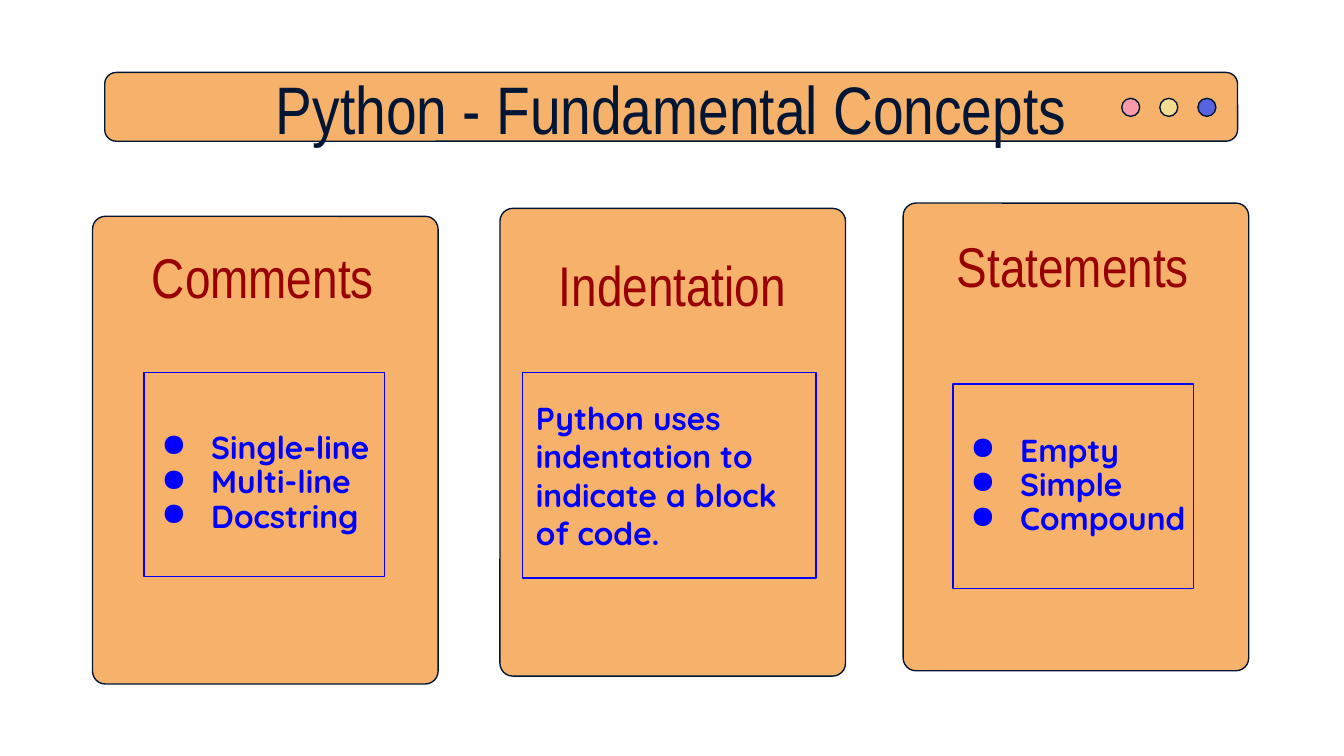
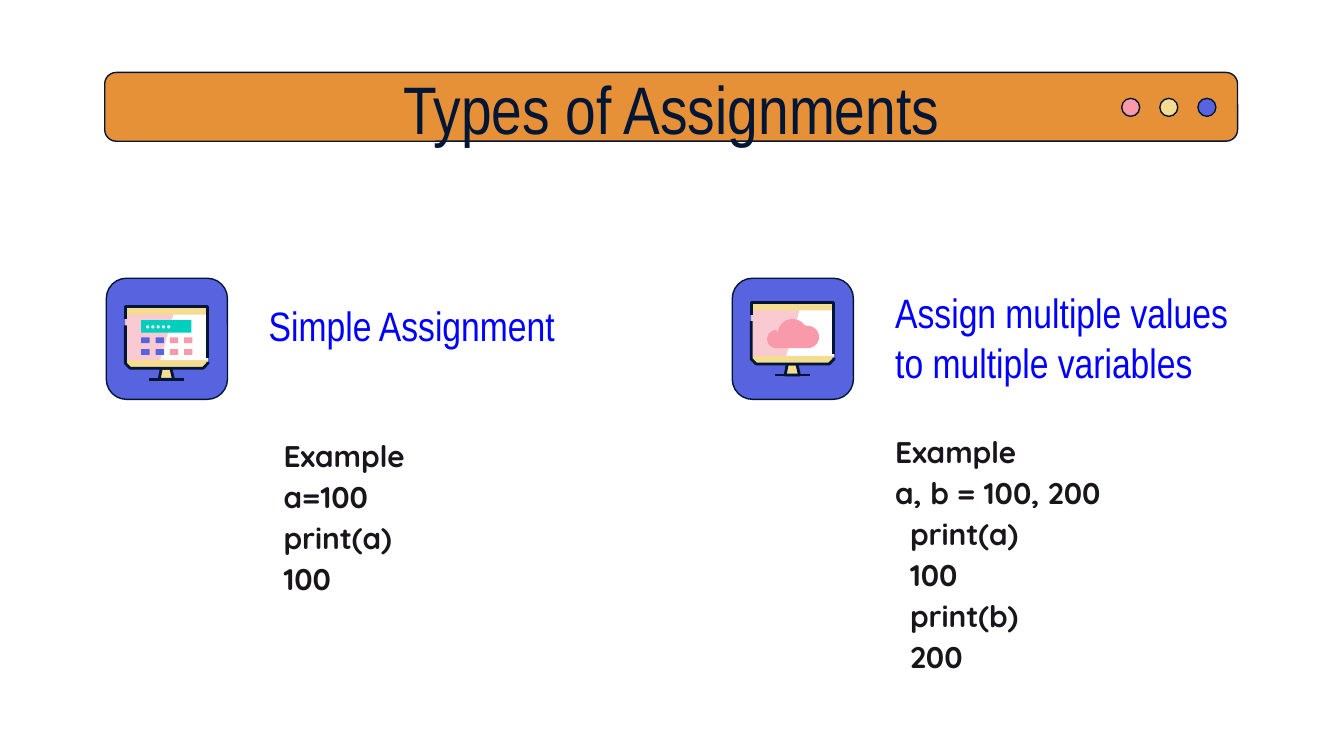
import math

import pptx
import pptx.dml.color
import pptx.enum.shapes
import pptx.enum.text
import pptx.oxml.ns
import pptx.util
from lxml import etree

Cm = pptx.util.Cm
Pt = pptx.util.Pt
RGBColor = pptx.dml.color.RGBColor
SHAPE = pptx.enum.shapes.MSO_SHAPE
ALIGN = pptx.enum.text.PP_ALIGN
qn = pptx.oxml.ns.qn

NAVY = RGBColor(0x01, 0x16, 0x35)
PEACH = RGBColor(0xF6, 0xB2, 0x6B)
ORANGE = RGBColor(0xE6, 0x91, 0x38)
PINK = RGBColor(0xF9, 0x9A, 0xAA)
PALE_PINK = RGBColor(0xF9, 0xCA, 0xD2)
YELLOW = RGBColor(0xF4, 0xDC, 0x90)
INDIGO = RGBColor(0x58, 0x63, 0xE0)
TEAL = RGBColor(0x00, 0xCF, 0xBE)
WHITE = RGBColor(0xFF, 0xFF, 0xFF)
DARK_RED = RGBColor(0x98, 0x00, 0x00)
BLUE = RGBColor(0x00, 0x00, 0xFF)
INK = RGBColor(0x18, 0x15, 0x1B)

HEAD_FONT = "Arial Narrow"
BODY_FONT = "Quicksand"


def paint(sp, fill=None, line=None, width=0.75):
    sp.shadow.inherit = False
    if fill is None:
        sp.fill.background()
    else:
        sp.fill.solid()
        sp.fill.fore_color.rgb = fill
    if line is None:
        sp.line.fill.background()
    else:
        sp.line.color.rgb = line
        sp.line.width = Pt(width)


def add_preset(shapes, kind, box, fill=None, line=None, radius=None):
    sp = shapes.add_shape(kind, *map(Cm, box))
    if radius is not None:
        sp.adjustments[0] = radius
    paint(sp, fill, line)
    return sp


def add_outline(shapes, origin, points, fill=None, line=None, closed=True):
    left, top = origin
    points = [(Cm(left + x), Cm(top + y)) for x, y in points]
    builder = shapes.build_freeform(*points[0])
    builder.add_line_segments(points[1:], close=closed)
    paint(builder.convert_to_shape(), fill, line, 1.5)


def write(sp, lines, size, color, font, bold=False, align=ALIGN.LEFT,
          spacing=None, insets=(0, 0)):
    tf = sp.text_frame
    tf.word_wrap = True
    tf.vertical_anchor = pptx.enum.text.MSO_ANCHOR.MIDDLE
    tf.margin_left = tf.margin_right = Cm(insets[0])
    tf.margin_top = tf.margin_bottom = Cm(insets[1])
    tf.text = "\n".join(lines)
    for p in tf.paragraphs:
        p.alignment = align
        if spacing:
            p.line_spacing = spacing
        for r in p.runs:
            r.font.size = Pt(size)
            r.font.name = font
            r.font.bold = bold
            r.font.color.rgb = color
    return tf


def indent(p, margin, first):
    pPr = p._p.get_or_add_pPr()
    pPr.set("marL", str(Cm(margin)))
    pPr.set("indent", str(Cm(first)))
    return pPr


def add_bullet(p, color):
    pPr = indent(p, 1.27, -0.94)
    bu_color = etree.SubElement(pPr, qn("a:buClr"))
    etree.SubElement(bu_color, qn("a:srgbClr"), val=str(color))
    etree.SubElement(pPr, qn("a:buChar"), char="●")


def add_heading(slide, box, text, size, color, align=ALIGN.CENTER):
    sp = slide.shapes.add_textbox(*map(Cm, box))
    write(sp, [text], size, color, HEAD_FONT, align=align)


def add_title_bar(slide, title, fill):
    add_preset(slide.shapes, SHAPE.ROUNDED_RECTANGLE, (1.98, 1.37, 21.41, 1.3),
               fill, NAVY, 0.167)
    dots = slide.shapes.add_group_shape().shapes
    for i, color in enumerate((PINK, YELLOW, INDIGO)):
        add_preset(dots, SHAPE.OVAL, (21.2 + 0.72 * i, 1.86, 0.34, 0.34), color, NAVY)
    add_heading(slide, (3.78, 1.24, 17.81, 1.6), title, 36, NAVY)


def add_card(slide, left, top, heading, heading_at):
    add_preset(slide.shapes, SHAPE.ROUNDED_RECTANGLE, (left, top, 6.53, 8.84),
               PEACH, NAVY, 0.037)
    add_heading(slide, (*heading_at, 5.46, 1.3), heading, 30, DARK_RED)


def add_frame(slide, box, lines, **style):
    sp = add_preset(slide.shapes, SHAPE.RECTANGLE, box, line=BLUE)
    return write(sp, lines, 17, BLUE, BODY_FONT, bold=True, **style)


def add_bullet_frame(slide, left, top, lines, top_inset=0):
    tf = add_frame(slide, (left, top, 4.55, 3.86), lines, spacing=0.9)
    tf.margin_top = Cm(top_inset)
    for p in tf.paragraphs:
        add_bullet(p, BLUE)


def add_code(slide, box, lines, flush):
    sp = slide.shapes.add_textbox(*map(Cm, box))
    tf = write(sp, lines, 16, INK, BODY_FONT, bold=True, spacing=1.15)
    for p in tf.paragraphs[flush:]:
        indent(p, 1.55, -1.27)


def add_monitor(slide, origin, add_screen):
    left, top = origin
    shapes = slide.shapes.add_group_shape().shapes
    add_outline(shapes, origin, [(0.71, 1.19), (0.89, 1.19), (0.94, 1.4), (0.67, 1.4)],
                YELLOW, NAVY)
    add_preset(shapes, SHAPE.ROUNDED_RECTANGLE, (left + 0.03, top + 0.03, 1.56, 1.16),
               YELLOW, radius=0.08)
    add_preset(shapes, SHAPE.RECTANGLE, (left + 0.03, top + 0.18, 1.56, 0.86), PALE_PINK)
    add_outline(shapes, origin, [(0.94, 0.18), (1.59, 0.18), (1.59, 1.04), (0.69, 1.04)],
                WHITE)
    add_screen(shapes, left, top)
    add_outline(shapes, origin, [(0.03, 0.27), (0.03, 0.03), (1.59, 0.03), (1.59, 1)],
                line=NAVY, closed=False)
    add_outline(shapes, origin,
                [(0.03, 0.38), (0.03, 1.1), (0.12, 1.19), (1.5, 1.19), (1.59, 1.1),
                 (1.59, 1.07)], line=NAVY, closed=False)
    add_outline(shapes, origin, [(0.48, 1.4), (1.14, 1.4)], line=NAVY, closed=False)


def add_calculator(shapes, left, top):
    add_preset(shapes, SHAPE.RECTANGLE, (left + 0.33, top + 0.28, 0.95, 0.24), TEAL)
    for i in range(5):
        add_preset(shapes, SHAPE.OVAL, (left + 0.42 + 0.1 * i, top + 0.38, 0.06, 0.06),
                   WHITE)
    for row in range(2):
        for col, color in enumerate((INDIGO, INDIGO, PINK, PINK)):
            add_preset(shapes, SHAPE.RECTANGLE,
                       (left + 0.33 + 0.27 * col, top + 0.61 + 0.22 * row, 0.16, 0.11),
                       color)


def add_cloud(shapes, left, top):
    arcs = [(0.5, 0.72, 0.17, 90, 270), (0.81, 0.62, 0.28, 185, 325),
            (1.1, 0.68, 0.21, 270, 450)]
    points = [(x + radius * math.cos(math.radians(angle)),
               y + radius * math.sin(math.radians(angle)))
              for x, y, radius, start, end in arcs
              for angle in range(start, end + 1, 10)]
    add_outline(shapes, (left, top), points, PINK)


def add_tile(slide, left, monitor_at, add_screen):
    add_preset(slide.shapes, SHAPE.ROUNDED_RECTANGLE, (left, 5.26, 2.29, 2.29),
               INDIGO, NAVY, 0.167)
    add_monitor(slide, monitor_at, add_screen)


def build_concepts(slide):
    add_title_bar(slide, "Python - Fundamental Concepts", PEACH)
    add_card(slide, 1.75, 4.09, "Comments", (2.24, 4.57))
    add_card(slide, 9.45, 3.94, "Indentation", (9.98, 4.72))
    add_card(slide, 17.07, 3.84, "Statements", (17.55, 4.37))
    add_bullet_frame(slide, 2.72, 7.04, ["Single-line", "Multi-line", "Docstring"], 0.34)
    add_frame(slide, (9.88, 7.04, 5.54, 3.89),
              ["Python uses", "indentation to indicate a block of code."],
              insets=(0.25, 0.13))
    add_bullet_frame(slide, 18.01, 7.26, ["Empty", "Simple", "Compound"])


def build_assignments(slide):
    add_title_bar(slide, "Types of Assignments", ORANGE)
    add_heading(slide, (5.08, 5.49, 6.48, 1.3), "Simple Assignment", 22, BLUE, ALIGN.LEFT)
    add_heading(slide, (16.92, 5.72, 6.48, 1.3),
                "Assign multiple values to multiple variables", 22, BLUE, ALIGN.LEFT)
    add_tile(slide, 2.01, (2.34, 5.77), add_calculator)
    add_tile(slide, 13.84, (14.17, 5.69), add_cloud)
    add_code(slide, (5.08, 8.36, 3.28, 2.72), ["Example", "a=100", "print(a)", "100"], 0)
    add_code(slide, (16.92, 8.1, 7.29, 4.65),
             ["Example", "a, b = 100, 200", "print(a)", "100", "print(b)", "200"], 2)


def main():
    prs = pptx.Presentation()
    prs.slide_width = Cm(25.4)
    prs.slide_height = Cm(14.29)
    for build in (build_concepts, build_assignments):
        build(prs.slides.add_slide(prs.slide_layouts[6]))
    prs.save("out.pptx")


if __name__ == "__main__":
    main()
